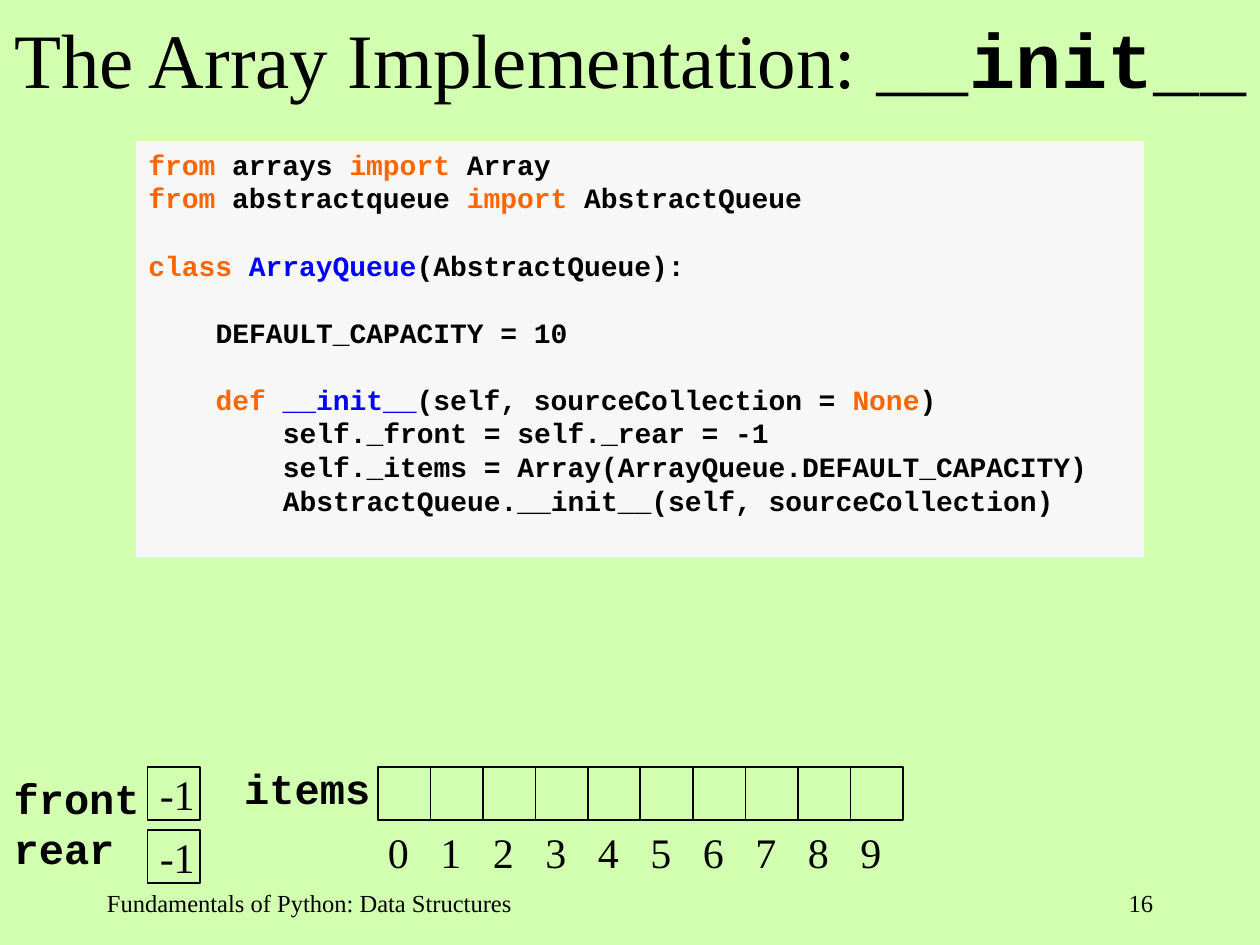
from lxml.etree import SubElement
from pptx import Presentation
from pptx.dml.color import RGBColor
from pptx.enum.shapes import MSO_SHAPE
from pptx.enum.text import MSO_ANCHOR, PP_ALIGN
from pptx.oxml.ns import qn
from pptx.util import Emu, Inches, Pt

COLORS = {
    "page": "D2FFB0",
    "code": "F7F7F7",
    "keyword": "FF6600",
    "name": "0000FF",
    "plain": "000000",
}
SERIF, MONO = "Times New Roman", "Courier New"
CODE_SIZE, LABEL_SIZE, TITLE_SIZE, FOOTER_SIZE = 16, 24, 44, 14
CODE_LINE = 19.2
INDENT = 4 * 0.6 * CODE_SIZE
CELL = 5 / 12
CELL_TOP, ARRAY_LEFT, POINTER_LEFT = 6.09, 3, 1.17
CAPACITY = 10

TITLE = [("The Array Implementation: ", SERIF, False), ("__init__", MONO, True)]

CODE = [
    (0, 0, [("from", "keyword"), (" arrays ", "plain"),
            ("import", "keyword"), (" Array", "plain")]),
    (0, 0, [("from", "keyword"), (" abstractqueue ", "plain"),
            ("import", "keyword"), (" AbstractQueue", "plain")]),
    (0, 1, [("class ", "keyword"), ("ArrayQueue", "name"),
            ("(AbstractQueue):", "plain")]),
    (1, 1, [("DEFAULT_CAPACITY = 10", "plain")]),
    (1, 1, [("def ", "keyword"), ("__init__", "name"),
            ("(self, sourceCollection = ", "plain"),
            ("None", "keyword"), (")", "plain")]),
    (2, 0, [("self._front = self._rear = -1", "plain")]),
    (2, 0, [("self._items = Array(ArrayQueue.DEFAULT_CAPACITY)", "plain")]),
    (2, 0, [("AbstractQueue.__init__(self, sourceCollection)", "plain")]),
]

POINTERS = ["-1", "-1"]
LABELS = [
    (0.01, 6.08, 1.2, 0.9, ["front", "rear"]),
    (1.84, 6, 1.2, 0.5, ["items"]),
]
FOOTERS = [
    (0.75, 3.92, PP_ALIGN.LEFT, "Fundamentals of Python: Data Structures"),
    (7.17, 2.08, PP_ALIGN.RIGHT, "16"),
]


def color(key):
    return RGBColor.from_string(COLORS[key])


def add_span(para, text, size, font, bold=False, key="plain"):
    span = para.add_run()
    span.text = text
    span.font.size = Pt(size)
    span.font.name = font
    span.font.bold = bold
    span.font.color.rgb = color(key)


def paragraphs(frame, count):
    return [frame.paragraphs[0]] + [frame.add_paragraph() for _ in range(count - 1)]


def add_text(page, left, top, width, height, wrap=True):
    box = page.shapes.add_textbox(*map(Inches, (left, top, width, height)))
    box.text_frame.word_wrap = wrap
    return box.text_frame


def add_rectangle(page, left, top, width, height, fill=None):
    box = page.shapes.add_shape(
        MSO_SHAPE.RECTANGLE, *map(Inches, (left, top, width, height)))
    box.shadow.inherit = False
    if fill:
        box.fill.solid()
        box.fill.fore_color.rgb = color(fill)
        box.line.fill.background()
    else:
        box.fill.background()
        box.line.color.rgb = color("plain")
        box.line.width = Pt(1)
    return box.text_frame


def add_title(page):
    frame = add_text(page, 0, -0.17, 10, 1.25)
    frame.vertical_anchor = MSO_ANCHOR.MIDDLE
    frame.margin_right = Inches(0.09)
    para = frame.paragraphs[0]
    para.alignment = PP_ALIGN.CENTER
    for text, font, bold in TITLE:
        add_span(para, text, TITLE_SIZE, font, bold)


def add_code(page):
    frame = add_rectangle(page, 1.08, 1.12, 8, 3.3, "code")
    frame.word_wrap = True
    frame.vertical_anchor = MSO_ANCHOR.TOP
    for para, (level, gap, spans) in zip(paragraphs(frame, len(CODE)), CODE):
        para.alignment = PP_ALIGN.LEFT
        para.space_before = Pt(gap * CODE_LINE)
        para._p.get_or_add_pPr().set("marL", str(Emu(Pt(level * INDENT))))
        for text, key in spans:
            add_span(para, text, CODE_SIZE, MONO, True, key)


def add_pointers(page):
    for row, value in enumerate(POINTERS):
        frame = add_rectangle(page, POINTER_LEFT, CELL_TOP + row * 0.5, CELL, CELL)
        frame.word_wrap = False
        frame.vertical_anchor = MSO_ANCHOR.MIDDLE
        para = frame.paragraphs[0]
        para.alignment = PP_ALIGN.LEFT
        add_span(para, value, LABEL_SIZE, SERIF)


def add_array(page):
    for column in range(CAPACITY):
        add_rectangle(page, ARRAY_LEFT + column * CELL, CELL_TOP, CELL, CELL)
    para = add_text(page, 2.98, 6.51, 4.2, 0.5).paragraphs[0]
    stops = SubElement(para._p.get_or_add_pPr(), qn("a:tabLst"))
    for column in range(1, CAPACITY):
        SubElement(stops, qn("a:tab"), pos=str(Inches(column * CELL)), algn="l")
    add_span(para, "\t".join(map(str, range(CAPACITY))), LABEL_SIZE, SERIF)


def add_labels(page):
    for left, top, width, height, words in LABELS:
        frame = add_text(page, left, top, width, height, wrap=False)
        for para, word in zip(paragraphs(frame, len(words)), words):
            add_span(para, word, LABEL_SIZE, MONO, True)


def add_footers(page):
    for left, width, alignment, text in FOOTERS:
        para = add_text(page, left, 7, width, 0.5).paragraphs[0]
        para.alignment = alignment
        add_span(para, text, FOOTER_SIZE, SERIF)


def main():
    deck = Presentation()
    deck.slide_width, deck.slide_height = Inches(10), Inches(7.5)
    page = deck.slides.add_slide(deck.slide_layouts[6])
    page.background.fill.solid()
    page.background.fill.fore_color.rgb = color("page")
    for add_part in (add_code, add_title, add_pointers, add_array,
                     add_labels, add_footers):
        add_part(page)
    deck.save("out.pptx")


if __name__ == "__main__":
    main()
